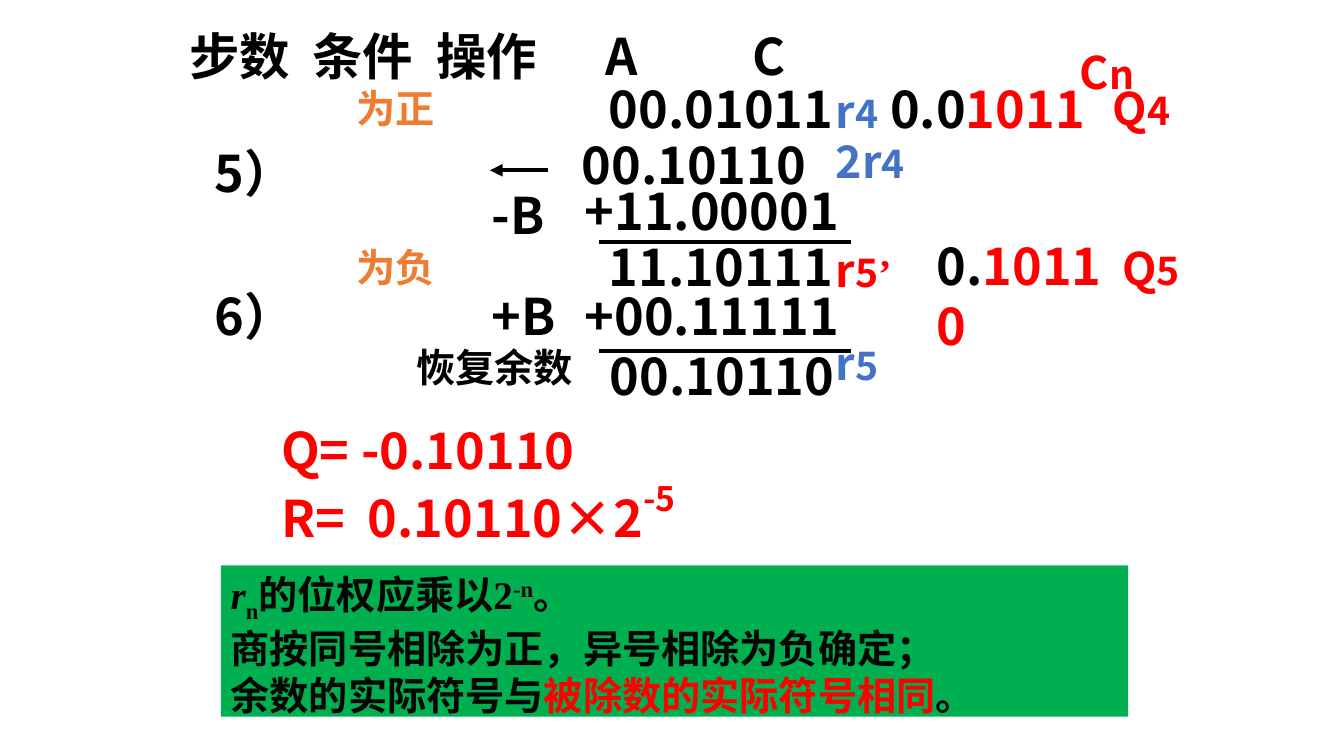
from dataclasses import dataclass
from typing import Optional

from lxml import etree
from pptx import Presentation
from pptx.dml.color import RGBColor
from pptx.enum.lang import MSO_LANGUAGE_ID
from pptx.enum.shapes import MSO_CONNECTOR, MSO_SHAPE
from pptx.enum.text import MSO_ANCHOR, PP_ALIGN
from pptx.oxml.ns import qn
from pptx.util import Inches, Pt

STRAIGHT = MSO_CONNECTOR.STRAIGHT
RECTANGLE = MSO_SHAPE.RECTANGLE
TOP = MSO_ANCHOR.TOP
LEFT = PP_ALIGN.LEFT
CHINESE = MSO_LANGUAGE_ID.SIMPLIFIED_CHINESE

COLORS = {
    "black": "000000", "red": "FF0000", "blue": "4472C4",
    "orange": "ED7D31", "green": "00B050", "ink": "070605",
}
SANS = "Noto Sans CJK SC"
SERIF = "Times New Roman"


@dataclass
class Piece:
    text: str
    color: str = "black"
    size: int = 36
    font: str = SANS
    italic: bool = False
    baseline: int = 0


@dataclass
class Label:
    left: float
    top: float
    width: float
    height: float
    pieces: list[Piece]
    spacing: Optional[float] = None


@dataclass
class Rule:
    left: float
    right: float
    y: float
    arrow: bool = False


def number(left: float, top: float, text: str, color: str = "black",
           width: float = 2.8) -> Label:
    return Label(left, top, width, 0.7, [Piece(text, color)])


def word(left: float, top: float, width: float, text: str, color: str) -> Label:
    return Label(left, top, width, 0.57, [Piece(text, color, 28)])


def symbol(left: float, top: float, letter: str, index: str, color: str,
           spacing: Optional[float] = None) -> Label:
    pieces = [Piece(letter, color, 32), Piece(index, color, 28)]
    return Label(left, top, 0.92, 0.42 if spacing else 0.63, pieces, spacing)


def add_piece(paragraph, piece: Piece) -> None:
    run = paragraph.add_run()
    run.text = piece.text
    font = run.font
    font.name, font.size = piece.font, Pt(piece.size)
    font.bold, font.italic = True, piece.italic
    font.color.rgb = RGBColor.from_string(COLORS[piece.color])
    font.language_id = CHINESE
    properties = run._r.get_or_add_rPr()
    if piece.font == SANS:
        east_asian = etree.SubElement(properties, qn("a:ea"))
        east_asian.set("typeface", SANS)
    if piece.baseline:
        properties.set("baseline", str(piece.baseline * 1000))


def add_label(slide, label: Label) -> None:
    shape = slide.shapes.add_textbox(
        Inches(label.left), Inches(label.top), Inches(label.width), Inches(label.height))
    shape.text_frame.word_wrap = True
    paragraph = shape.text_frame.paragraphs[0]
    if label.spacing:
        paragraph.line_spacing = label.spacing
    for piece in label.pieces:
        add_piece(paragraph, piece)


def add_rule(slide, rule: Rule) -> None:
    connector = slide.shapes.add_connector(
        STRAIGHT, Inches(rule.left), Inches(rule.y), Inches(rule.right), Inches(rule.y))
    connector.line.color.rgb = RGBColor.from_string(COLORS["black"])
    connector.line.width = Pt(3)
    if rule.arrow:
        line = connector.line._get_or_add_ln()
        etree.SubElement(line, qn("a:headEnd")).set("type", "triangle")
    etree.SubElement(connector._element.spPr, qn("a:effectLst"))


def add_note(slide, lines: list[list[Piece]]) -> None:
    shape = slide.shapes.add_shape(
        RECTANGLE, Inches(2.19), Inches(5.61), Inches(9), Inches(1.5))
    shape.shadow.inherit = False
    shape.fill.solid()
    shape.fill.fore_color.rgb = RGBColor.from_string(COLORS["green"])
    shape.line.fill.background()
    frame = shape.text_frame
    frame.word_wrap = True
    frame.vertical_anchor = TOP
    for index, pieces in enumerate(lines):
        paragraph = frame.add_paragraph() if index else frame.paragraphs[0]
        paragraph.alignment = LEFT
        for piece in pieces:
            add_piece(paragraph, piece)


def note_piece(text: str, color: str = "ink", italic: bool = False,
               baseline: int = 0) -> Piece:
    return Piece(text, color, 28, SERIF, italic, baseline)


HEADINGS = [
    Label(left, 0.36, 1.3, 0.52, [Piece(text)], 0.7)
    for left, text in [(1.78, "步数"), (3.0, "条件"), (4.23, "操作"), (5.91, "A"), (7.37, "C")]
]

LABELS = [
    # Remainder column
    Label(5.94, 0.94, 2.6, 0.46, [Piece("00.01011")], 0.6),
    number(5.67, 1.28, "00.10110"),
    number(5.7, 1.74, "+11.00001"),
    number(5.94, 2.29, "11.10111"),
    number(5.7, 2.78, "+00.11111"),
    number(5.95, 3.37, "00.10110"),
    # Steps, conditions and operations
    number(2.03, 1.36, "5）", width=1.17),
    number(2.03, 2.78, "6）", width=1.17),
    word(3.44, 0.79, 1.08, "为正", "orange"),
    word(3.44, 2.36, 1.08, "为负", "orange"),
    number(4.78, 1.78, "-B", width=1.17),
    number(4.78, 2.78, "+B", width=1.17),
    word(4.03, 3.36, 1.92, "恢复余数", "black"),
    # Remainder names
    symbol(8.19, 0.78, "r", "4", "blue"),
    symbol(8.19, 1.28, "2r", "4", "blue"),
    Label(8.19, 2.36, 0.92, 0.63, [
        Piece("r", "red", 32), Piece("5", "red", 28), Piece("’", "red", 28, SERIF)]),
    symbol(8.19, 3.28, "r", "5", "blue"),
    # Quotient column
    Label(8.73, 0.94, 2.4, 0.46, [Piece("0.0"), Piece("1011", "red")], 0.6),
    Label(9.19, 2.28, 2.08, 0.7, [Piece("0."), Piece("10110", "red")]),
    symbol(10.61, 0.39, "C", "n", "red"),
    symbol(10.94, 0.94, "Q", "4", "red", 0.6),
    symbol(11.03, 2.53, "Q", "5", "red", 0.6),
    # Results
    number(2.69, 4.11, "Q= -0.10110", "red", 3.83),
    number(2.69, 4.78, "R=", "red", 0.9),
    number(3.55, 4.78, "0.10110×2", "red", 3.6),
    Label(6.28, 4.69, 0.67, 0.5, [Piece("-5", "red", 24)]),
]

RULES = [Rule(5.94, 8.44, 2.4), Rule(5.94, 8.44, 3.48), Rule(4.86, 5.44, 1.69, True)]

NOTE = [
    [note_piece("r", italic=True), note_piece("n", baseline=-25),
     note_piece("的位权应乘以2"), note_piece("-n", baseline=30), note_piece("。")],
    [note_piece("商按同号相除为正，异号相除为负确定；")],
    [note_piece("余数的实际符号与"), note_piece("被除数的实际符号相同", "red"),
     note_piece("。")],
]


def main() -> None:
    presentation = Presentation()
    presentation.slide_width, presentation.slide_height = Inches(13.33), Inches(7.5)
    slide = presentation.slides.add_slide(presentation.slide_layouts[6])
    for label in HEADINGS + LABELS:
        add_label(slide, label)
    for rule in RULES:
        add_rule(slide, rule)
    add_note(slide, NOTE)
    presentation.save("out.pptx")


if __name__ == "__main__":
    main()
